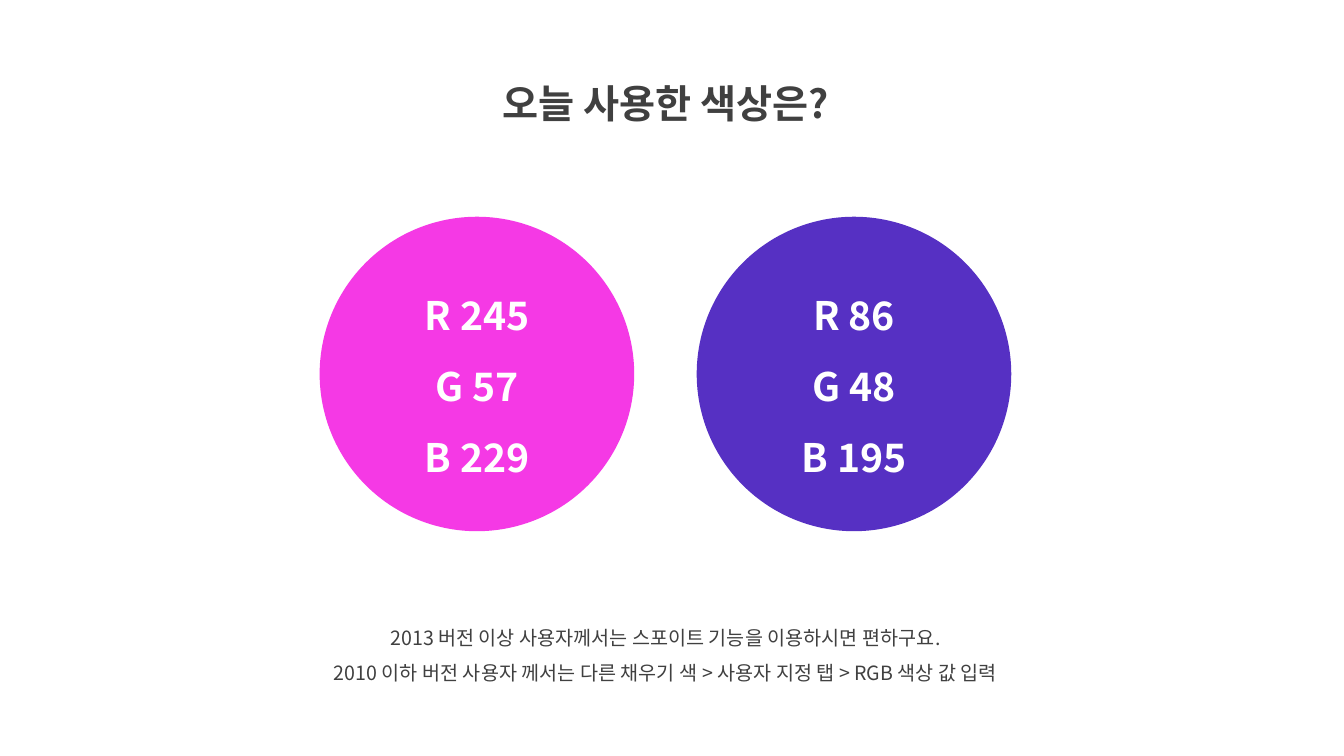
import lxml.etree
import pptx
import pptx.dml.color
import pptx.enum.shapes
import pptx.enum.text
import pptx.oxml.ns
import pptx.util

FONT = "Noto Sans CJK KR"


def color(hex_string):
    return pptx.dml.color.RGBColor.from_string(hex_string)


def write_text(shape, text, size, font_color, bold, anchor):
    frame = shape.text_frame
    frame.text = text
    frame.word_wrap = True
    frame.auto_size = pptx.enum.text.MSO_AUTO_SIZE.NONE
    frame.vertical_anchor = anchor
    for paragraph in frame.paragraphs:
        paragraph.alignment = pptx.enum.text.PP_ALIGN.CENTER
        paragraph.line_spacing = 1.5
        for run in paragraph.runs:
            run.font.size = pptx.util.Pt(size)
            run.font.bold = bold
            run.font.name = FONT
            run.font.color.rgb = color(font_color)
            properties = run._r.get_or_add_rPr()
            east_asian = lxml.etree.SubElement(properties, pptx.oxml.ns.qn("a:ea"))
            east_asian.set("typeface", FONT)


presentation = pptx.Presentation()
presentation.slide_width = pptx.util.Inches(13.33)
presentation.slide_height = pptx.util.Inches(7.5)
slide = presentation.slides.add_slide(presentation.slide_layouts[5])

top = pptx.enum.text.MSO_ANCHOR.TOP
middle = pptx.enum.text.MSO_ANCHOR.MIDDLE
center = pptx.util.Inches(6.6)

title = slide.shapes.title
title.width, title.height = pptx.util.Inches(4.63), pptx.util.Inches(0.72)
title.left, title.top = center - title.width // 2, pptx.util.Inches(0.5)
write_text(title, "오늘 사용한 색상은?", 28, "404040", True, top)

note_width = pptx.util.Inches(7.99)
note = slide.shapes.add_textbox(
    center - note_width // 2, pptx.util.Inches(6.04), note_width, pptx.util.Inches(0.81)
)
note_lines = [
    "2013 버전 이상 사용자께서는 스포이트 기능을 이용하시면 편하구요.",
    "2010 이하 버전 사용자 께서는 다른 채우기 색 > 사용자 지정 탭 > RGB 색상 값 입력",
]
write_text(note, "\n".join(note_lines), 14, "404040", False, top)

diameter = pptx.util.Inches(3.12)
gap = pptx.util.Inches(0.62)
circles = [
    ("F539E5", "R 245\nG 57\nB 229"),
    ("5630C3", "R 86\nG 48\nB 195"),
]
first_left = center - diameter - gap // 2
for column, (fill_color, values) in enumerate(circles):
    circle = slide.shapes.add_shape(
        pptx.enum.shapes.MSO_SHAPE.OVAL,
        first_left + column * (diameter + gap),
        pptx.util.Inches(2.15),
        diameter,
        diameter,
    )
    circle.shadow.inherit = False
    circle.fill.solid()
    circle.fill.fore_color.rgb = color(fill_color)
    circle.line.fill.background()
    write_text(circle, values, 28, "FFFFFF", True, middle)

presentation.save("out.pptx")
